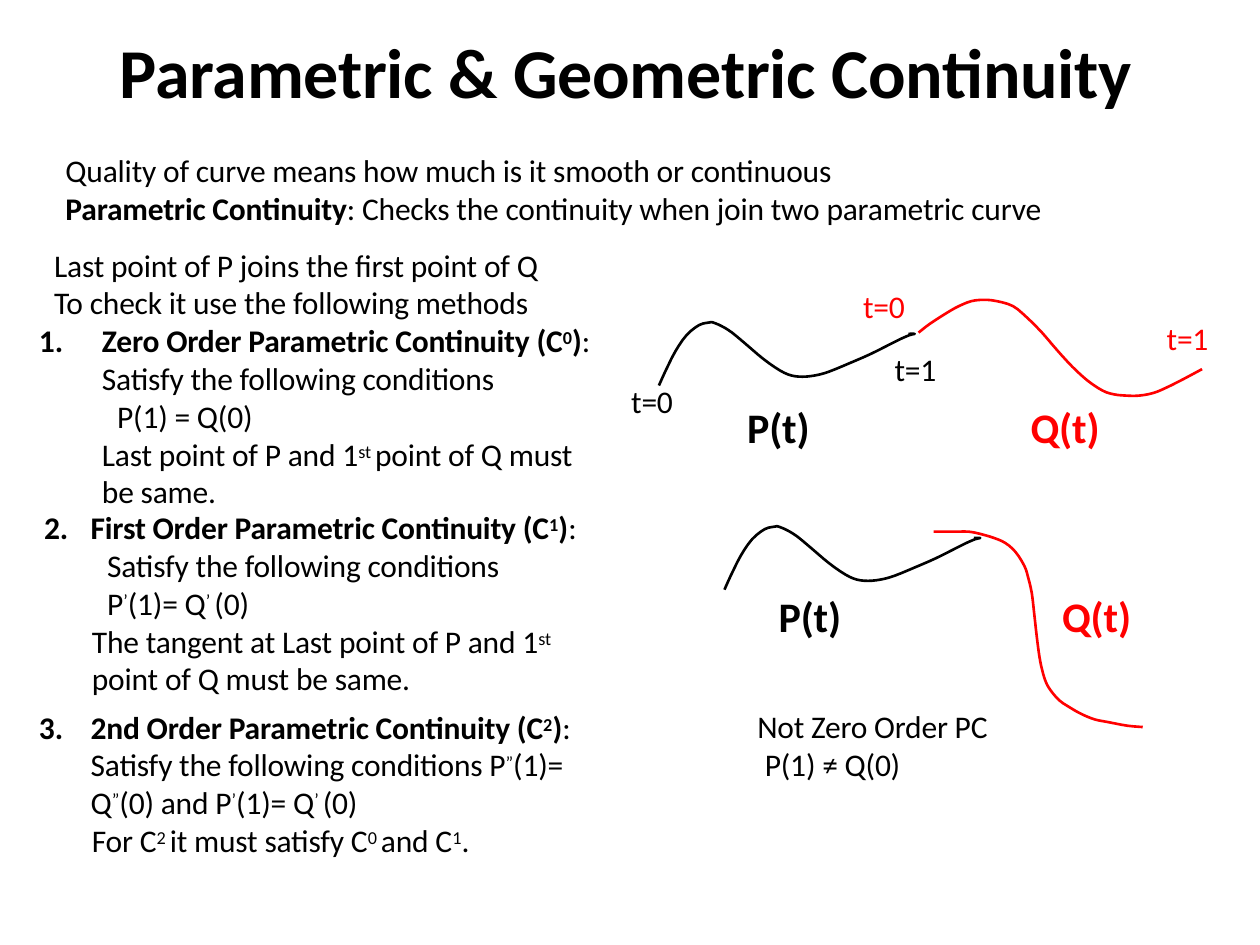
from lxml.etree import SubElement
from pptx import Presentation
from pptx.dml.color import RGBColor
from pptx.enum.text import MSO_ANCHOR, MSO_AUTO_SIZE, PP_ALIGN
from pptx.oxml.ns import qn
from pptx.util import Inches, Pt

COLORS = {"ink": "000000", "red": "FF0000"}
TITLE = "Parametric & Geometric Continuity"

# Inline marks: * toggles bold, ^ toggles superscript.
INTRO = [
    dict(text="Quality of curve means how much is it smooth or continuous", left=0.1, before=1),
    dict(text="*Parametric Continuity*: Checks the continuity when join two parametric curve", left=0.1),
    dict(text="Last point of P joins the first point of Q", left=0.01, before=10.8),
]
METHODS = [
    dict(text="To check it use the following methods", left=0.12, before=1),
    dict(text="*Zero Order Parametric Continuity (C^0^)*: Satisfy the following conditions",
         left=0.5, hang=-0.5, number=1),
    dict(text="P(1) = Q(0)", left=0.62),
    dict(text="Last point of P and 1^st ^point of Q must be same.", left=0.5),
    dict(text="*First Order Parametric Continuity (C^1^)*:", left=0.41, hang=-0.37, number=2, line=Pt(20.4)),
    dict(text="Satisfy the following conditions", left=0.54),
    dict(text="P^’^(1)= Q^’ ^(0)", left=0.54),
    dict(text="The tangent at Last point of P and 1^st ^point of Q must be same.", left=0.42),
    dict(text="*2nd Order Parametric Continuity (C^2^)*: Satisfy the following conditions "
              "P^”^(1)= Q^”^(0) and P^’^(1)= Q^’ ^(0)", left=0.41, hang=-0.41, number=3, before=6),
    dict(text="For C^2 ^it must satisfy C^0 ^and C^1^.", left=0.42),
]
VERDICT = [dict(text="Not Zero Order PC P(1) ≠ Q(0)", left=0.07, hang=-0.06, before=0.8, line=1.01)]
TEXTS = [
    (INTRO, (0.42, 1.19, 8.03, 1.08)),
    (METHODS, (0.31, 2.24, 4.53, 4.6)),
    (VERDICT, (6, 5.6, 1.88, 0.63)),
]
CURVE_NAMES = [("P(t)", 5.92, 3.18, "ink"), ("Q(t)", 8.17, 3.18, "red"),
               ("P(t)", 6.17, 4.68, "ink"), ("Q(t)", 8.42, 4.68, "red")]
END_VALUES = [("t=0", 5, 3.02, "ink"), ("t=1", 7.09, 2.77, "ink"),
              ("t=0", 6.84, 2.27, "red"), ("t=1", 9.25, 2.52, "red")]

P_CURVE = [(5.23, 3.06), (5.28, 2.95), (5.36, 2.79), (5.45, 2.66), (5.55, 2.58), (5.63, 2.56),
           (5.66, 2.56), (5.73, 2.59), (5.81, 2.64), (5.93, 2.74), (6.06, 2.85), (6.19, 2.94),
           (6.28, 2.98), (6.37, 2.99), (6.47, 2.98), (6.58, 2.95), (6.75, 2.88), (6.91, 2.81),
           (7.05, 2.74), (7.15, 2.69), (7.22, 2.66), (7.26, 2.65), (7.21, 2.65)]
Q_JOINED = [(7.29, 2.64), (7.38, 2.57), (7.52, 2.48), (7.61, 2.43), (7.71, 2.39), (7.81, 2.38),
            (7.91, 2.39), (8.04, 2.43), (8.15, 2.52), (8.27, 2.64), (8.39, 2.78), (8.51, 2.91),
            (8.63, 3.02), (8.75, 3.1), (8.84, 3.13), (8.94, 3.14), (9.04, 3.14), (9.15, 3.12),
            (9.25, 3.08), (9.39, 3.01), (9.54, 2.93)]
Q_APART = [(7.41, 4.22), (7.58, 4.22), (7.69, 4.22), (7.79, 4.24), (7.89, 4.27), (7.98, 4.31),
           (8.06, 4.38), (8.13, 4.49), (8.16, 4.58), (8.19, 4.71), (8.21, 4.88), (8.23, 5.06),
           (8.25, 5.21), (8.27, 5.31), (8.3, 5.41), (8.34, 5.48), (8.41, 5.56), (8.5, 5.62),
           (8.59, 5.67), (8.69, 5.71), (8.79, 5.73), (8.95, 5.76), (9.07, 5.77)]
P_APART = [(x + 0.52, y + 1.62) for x, y in P_CURVE]
CURVES = [(P_CURVE, "ink"), (Q_JOINED, "red"), (P_APART, "ink"), (Q_APART, "red")]


def smooth_points(knots, steps=3):
    """Return points on a Catmull-Rom spline through the knots."""
    ends = [knots[0], *knots, knots[-1]]
    points = [knots[0]]
    for a, b, c, d in zip(ends, ends[1:], ends[2:], ends[3:]):
        for step in range(1, steps + 1):
            t = step / steps
            points.append(tuple(
                0.5 * (2 * q + (r - p) * t + (2 * p - 5 * q + 4 * r - s) * t**2
                       + (3 * q - p - 3 * r + s) * t**3)
                for p, q, r, s in zip(a, b, c, d)))
    return [(Inches(x), Inches(y)) for x, y in points]


def add_curve(slide, knots, color):
    """Draw an open smooth curve."""
    start, *rest = smooth_points(knots)
    builder = slide.shapes.build_freeform(*start)
    builder.add_line_segments(rest, close=False)
    curve = builder.convert_to_shape()
    curve.shadow.inherit = False
    curve.fill.background()
    curve.line.color.rgb = RGBColor.from_string(COLORS[color])
    curve.line.width = Pt(1.5)


def add_runs(paragraph, text, size, color, bold):
    """Split marked text into formatted runs."""
    for i, part in enumerate(text.split("*")):
        for j, piece in enumerate(part.split("^")):
            if not piece:
                continue
            run = paragraph.add_run()
            run.text = piece
            run.font.name = "Calibri"
            run.font.size = Pt(size)
            run.font.bold = bold or i % 2 == 1
            run.font.color.rgb = RGBColor.from_string(COLORS[color])
            properties = run._r.get_or_add_rPr()
            properties.set("spc", "-10")
            if j % 2:
                properties.set("baseline", "25000")


def fill_text(shape, box, paragraphs, size=18, color="ink", bold=False):
    """Place a text shape and write its paragraphs."""
    shape.left, shape.top, shape.width, shape.height = map(Inches, box)
    frame = shape.text_frame
    frame.word_wrap = True
    frame.auto_size = MSO_AUTO_SIZE.SHAPE_TO_FIT_TEXT
    frame.vertical_anchor = MSO_ANCHOR.TOP
    frame.margin_left = frame.margin_right = frame.margin_bottom = 0
    frame.margin_top = Inches(0.01)
    for index, item in enumerate(paragraphs):
        paragraph = frame.add_paragraph() if index else frame.paragraphs[0]
        paragraph.alignment = PP_ALIGN.LEFT
        paragraph.space_before = Pt(item.get("before", 0))
        if "line" in item:
            paragraph.line_spacing = item["line"]
        properties = paragraph._p.get_or_add_pPr()
        properties.set("marL", str(Inches(item["left"])))
        properties.set("indent", str(Inches(item.get("hang", 0))))
        if "number" in item:
            SubElement(properties, qn("a:buFont"), typeface="Calibri")
            SubElement(properties, qn("a:buAutoNum"), type="arabicPeriod", startAt=str(item["number"]))
        add_runs(paragraph, item["text"], size, color, bold)


def main():
    """Build the continuity slide."""
    deck = Presentation()
    deck.slide_width, deck.slide_height = Inches(10), Inches(7.5)
    slide = deck.slides.add_slide(deck.slide_layouts[5])
    fill_text(slide.shapes.title, (0.94, 0.22, 8.13, 0.7),
              [dict(text=TITLE, left=0.01, before=1)], 40, bold=True)

    def add_text(box, paragraphs, **style):
        fill_text(slide.shapes.add_textbox(0, 0, 0, 0), box, paragraphs, **style)

    for knots, color in CURVES:
        add_curve(slide, knots, color)
    for labels, width, height, size in [(CURVE_NAMES, 0.58, 0.43, 24), (END_VALUES, 0.36, 0.33, 18)]:
        for text, left, top, color in labels:
            add_text((left, top, width, height), [dict(text=text, left=0.01, before=1)],
                     size=size, color=color, bold=labels is CURVE_NAMES)
    for paragraphs, box in TEXTS:
        add_text(box, paragraphs)
    deck.save("out.pptx")


if __name__ == "__main__":
    main()
